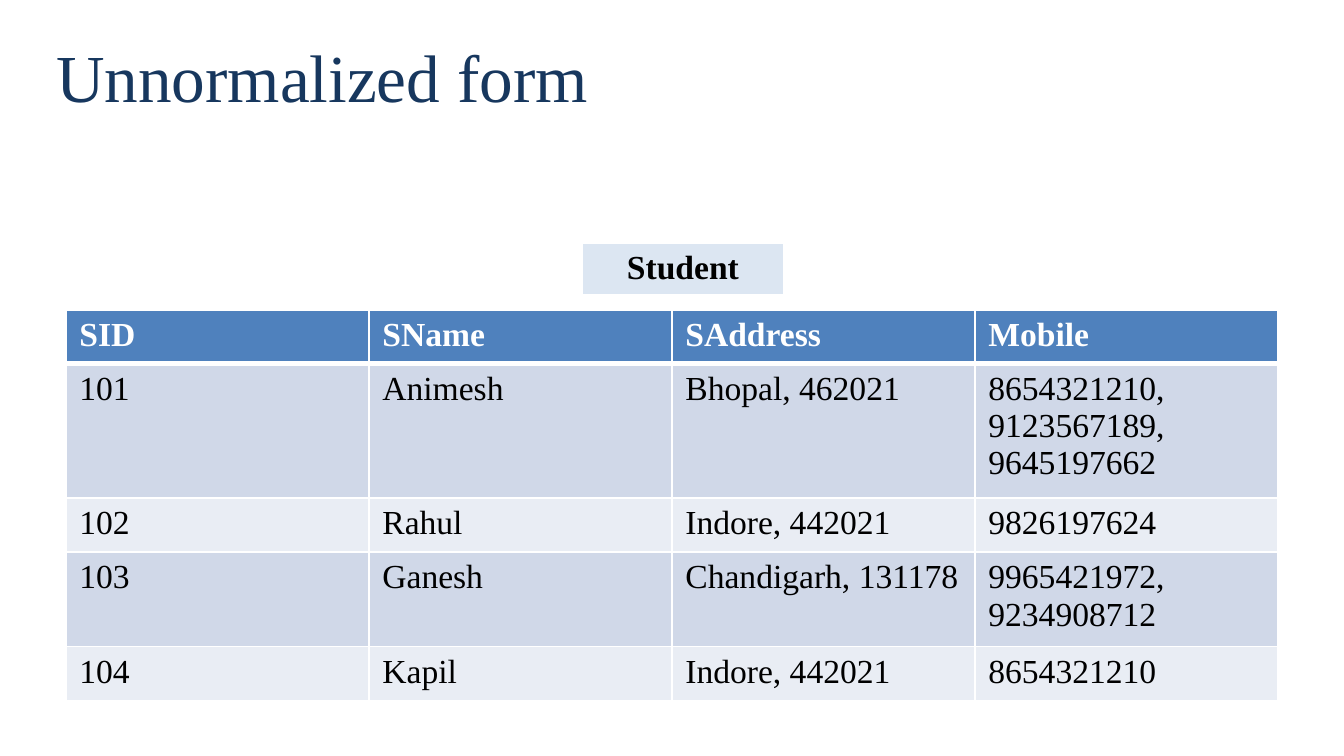
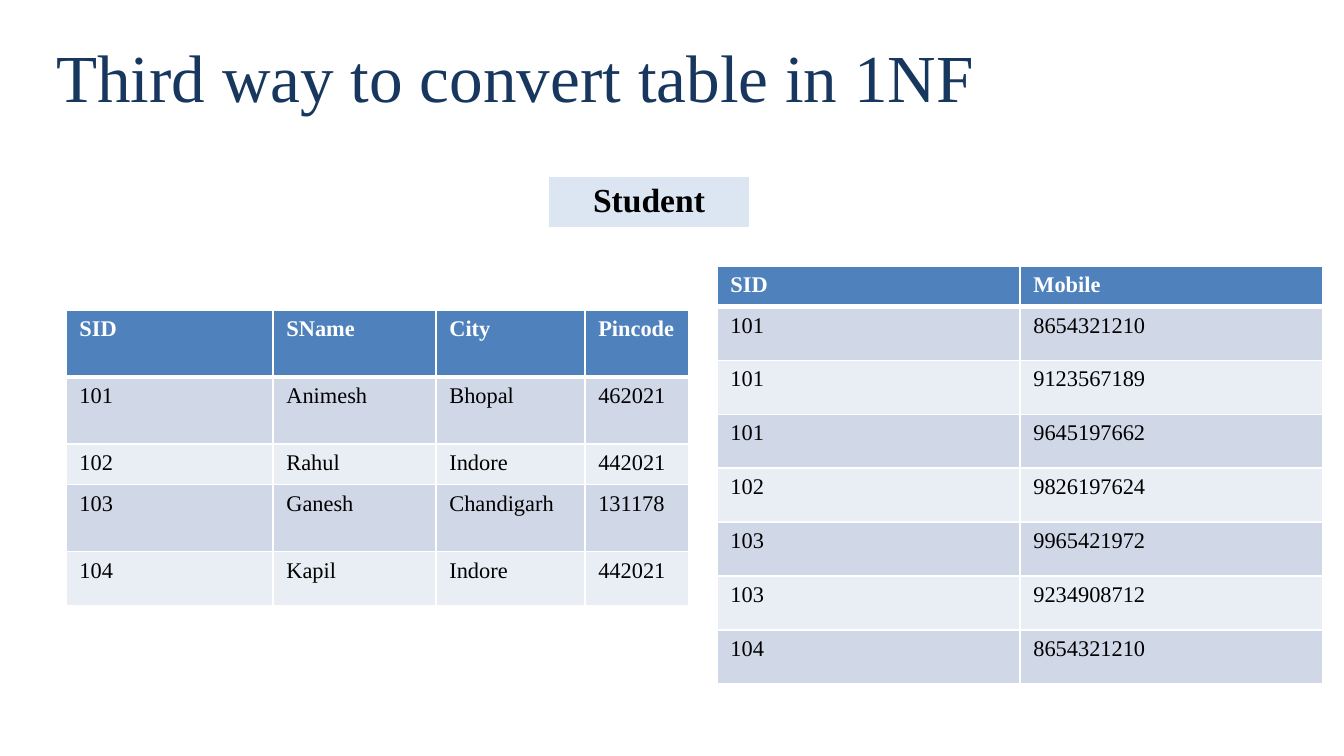
"""Builds two slides that bring a student table into first normal form."""
from pptx import Presentation
from pptx.dml.color import RGBColor
from pptx.enum.text import MSO_ANCHOR, PP_ALIGN
from pptx.oxml.ns import qn
from pptx.util import Pt
from lxml.etree import SubElement

SCALE = 914400 / 134.4
FONT = "Times New Roman"
NAVY, BLUE, PALE_BLUE = "17375E", "4F81BD", "DCE6F2"
BANDS = ("D0D8E8", "E9EDF4")
WHITE, BLACK = "FFFFFF", "000000"
TITLE_BOX = (43, 19, 1212, 113)
LABEL_SIZE = (202, 54)

SLIDES = [
    {
        "title": "Unnormalized form",
        "label": ("Student", 582, 243),
        "tables": [
            {
                "at": (66, 310),
                "size": 18,
                "columns": [303] * 4,
                "heights": [50, 125, 54, 88, 54],
                "rows": [
                    ("SID", "SName", "SAddress", "Mobile"),
                    ("101", "Animesh", "Bhopal, 462021", "8654321210, 9123567189, 9645197662"),
                    ("102", "Rahul", "Indore, 442021", "9826197624"),
                    ("103", "Ganesh", "Chandigarh, 131178", "9965421972, 9234908712"),
                    ("104", "Kapil", "Indore, 442021", "8654321210"),
                ],
            },
        ],
    },
    {
        "title": "Third way to convert table in 1NF",
        "label": ("Student", 548, 176),
        "tables": [
            {
                "at": (66, 310),
                "size": 12,
                "columns": [207, 163, 149, 104],
                "heights": [67, 67, 38, 67, 54],
                "rows": [
                    ("SID", "SName", "City", "Pincode"),
                    ("101", "Animesh", "Bhopal", "462021"),
                    ("102", "Rahul", "Indore", "442021"),
                    ("103", "Ganesh", "Chandigarh", "131178"),
                    ("104", "Kapil", "Indore", "442021"),
                ],
            },
            {
                "at": (717, 266),
                "size": 12,
                "columns": [303] * 2,
                "heights": [38] + [54] * 7,
                "rows": [
                    ("SID", "Mobile"),
                    ("101", "8654321210"),
                    ("101", "9123567189"),
                    ("101", "9645197662"),
                    ("102", "9826197624"),
                    ("103", "9965421972"),
                    ("103", "9234908712"),
                    ("104", "8654321210"),
                ],
            },
        ],
    },
]


def px(length):
    return round(length * SCALE)


def color(value):
    return RGBColor.from_string(value)


def add_run(paragraph, text, size, font_color, bold=False):
    run = paragraph.add_run()
    run.text = text
    run.font.name = FONT
    run.font.size = Pt(size)
    run.font.bold = bold
    run.font.color.rgb = color(font_color)


def add_title(slide, text):
    frame = slide.shapes.add_textbox(*map(px, TITLE_BOX)).text_frame
    frame.word_wrap = True
    frame.vertical_anchor = MSO_ANCHOR.MIDDLE
    add_run(frame.paragraphs[0], text, 36, NAVY)


def set_borders(cell, top, bottom):
    properties = cell._tc.get_or_add_tcPr()
    for side, width in (("L", 1), ("R", 1), ("T", top), ("B", bottom)):
        line = SubElement(properties, qn(f"a:ln{side}"), w=str(Pt(width)))
        fill = SubElement(line, qn("a:solidFill"))
        SubElement(fill, qn("a:srgbClr"), val=WHITE)


def fill_cell(cell, text, size, fill, font_color, bold, top=1, bottom=1):
    set_borders(cell, top, bottom)
    cell.fill.solid()
    cell.fill.fore_color.rgb = color(fill)
    paragraph = cell.text_frame.paragraphs[0]
    add_run(paragraph, text, size, font_color, bold)
    return paragraph


def add_grid(slide, at, columns, heights):
    box = (*at, sum(columns), sum(heights))
    table = slide.shapes.add_table(len(heights), len(columns), *map(px, box)).table
    for column, width in zip(table.columns, columns):
        column.width = px(width)
    for row, height in zip(table.rows, heights):
        row.height = px(height)
    return table


def add_label(slide, text, left, top):
    width, height = LABEL_SIZE
    table = add_grid(slide, (left, top), [width], [height])
    paragraph = fill_cell(table.cell(0, 0), text, 18, PALE_BLUE, BLACK, True, bottom=3)
    paragraph.alignment = PP_ALIGN.CENTER


def add_data_table(slide, at, size, columns, heights, rows):
    table = add_grid(slide, at, columns, heights)
    for row_index, row in enumerate(rows):
        if row_index == 0:
            style = {"fill": BLUE, "font_color": WHITE, "bold": True, "bottom": 3}
        else:
            style = {"fill": BANDS[(row_index - 1) % 2], "font_color": BLACK,
                     "bold": False, "top": 3 if row_index == 1 else 1}
        for column_index, text in enumerate(row):
            fill_cell(table.cell(row_index, column_index), text, size, **style)


def main():
    presentation = Presentation()
    presentation.slide_width = px(1344)
    presentation.slide_height = px(756)
    for content in SLIDES:
        slide = presentation.slides.add_slide(presentation.slide_layouts[6])
        add_title(slide, content["title"])
        add_label(slide, *content["label"])
        for table in content["tables"]:
            add_data_table(slide, **table)
    presentation.save("out.pptx")


if __name__ == "__main__":
    main()
